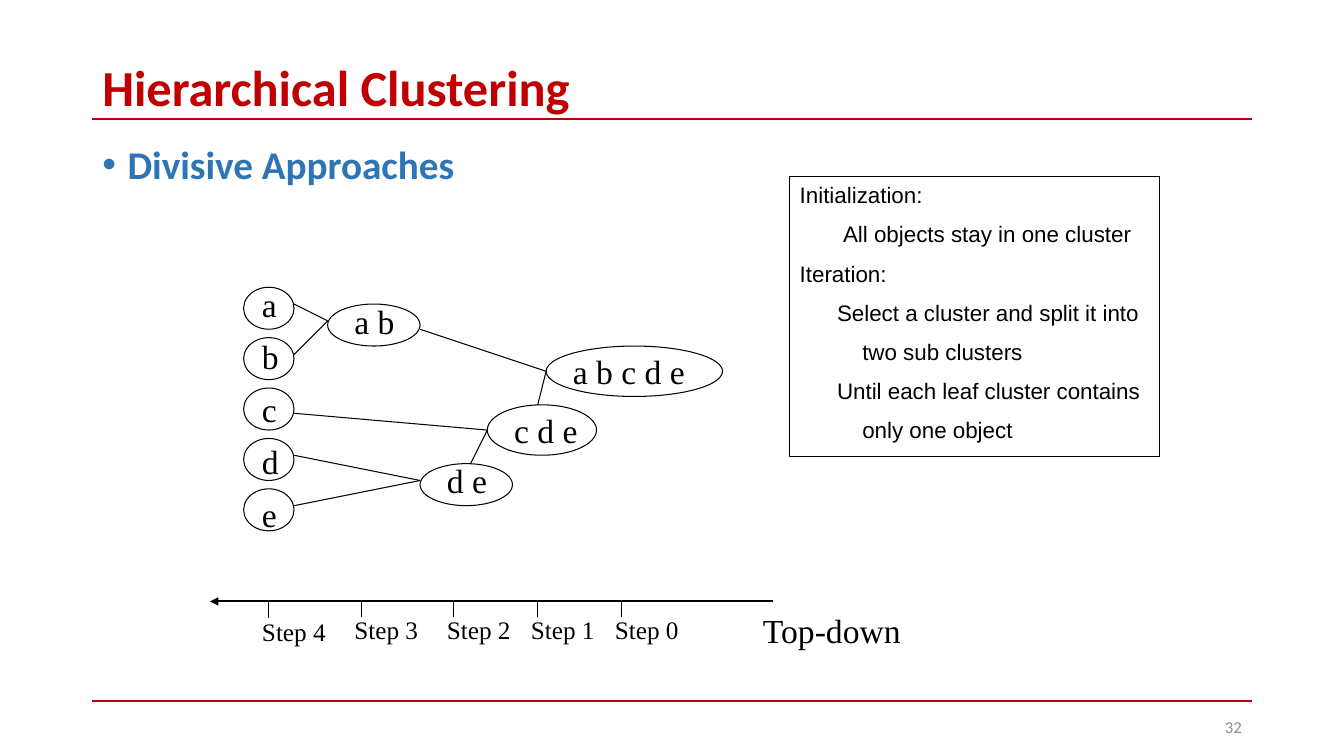
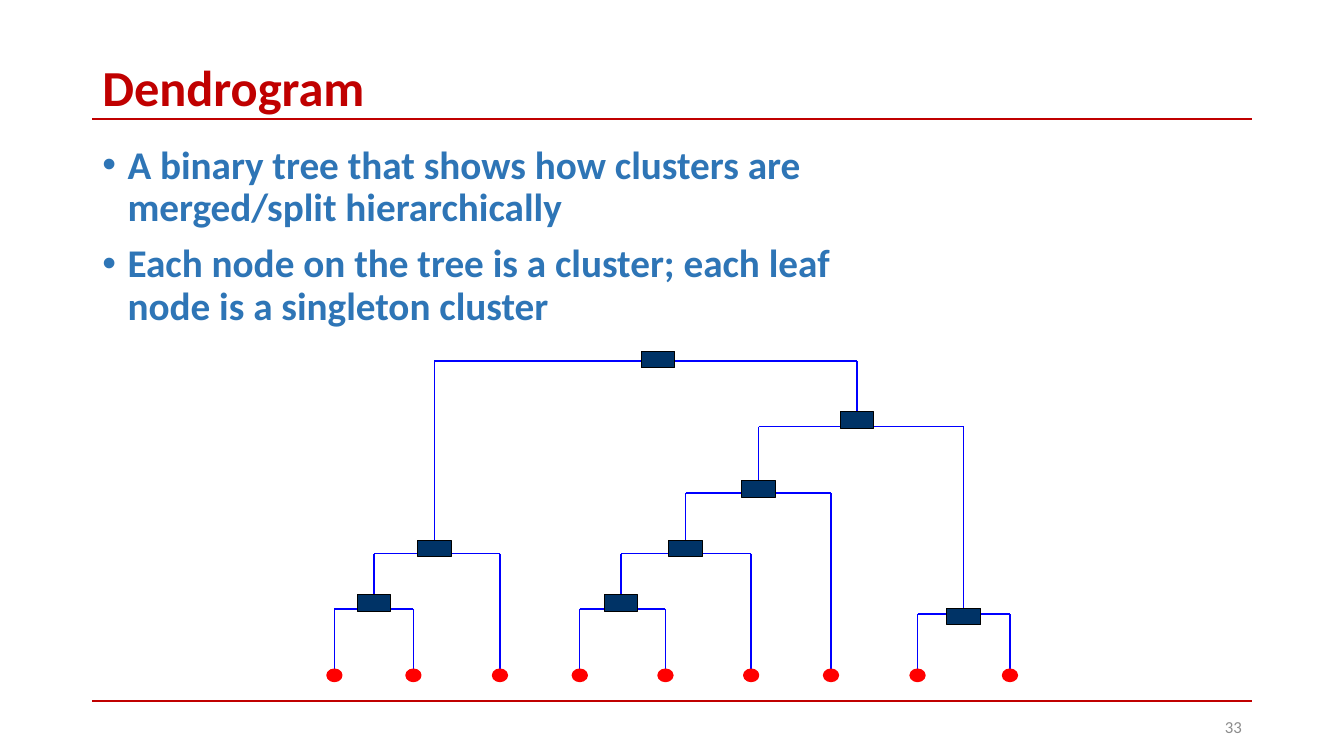
from lxml import etree
from pptx import Presentation
from pptx.dml.color import RGBColor
from pptx.enum.shapes import MSO_CONNECTOR as LINK, MSO_SHAPE as SHAPE
from pptx.enum.text import MSO_ANCHOR as ANCHOR, PP_ALIGN as ALIGN
from pptx.oxml.ns import qn
from pptx.util import Inches, Pt

RED = RGBColor(0xC0, 0x00, 0x00)
BLUE = RGBColor(0x2E, 0x75, 0xB6)
GRAY = RGBColor(0x8C, 0x8C, 0x8C)
BLACK = RGBColor(0x00, 0x00, 0x00)
BRANCH_BLUE = RGBColor(0x00, 0x00, 0xFF)
LEAF_RED = RGBColor(0xFF, 0x00, 0x00)
NODE_NAVY = RGBColor(0x00, 0x33, 0x66)
SANS, SERIF, PLAIN = "Calibri", "Times New Roman", "Arial"

# Grid of 160 columns by 90 rows
deck = Presentation()
deck.slide_width, deck.slide_height = Inches(13.33), Inches(7.5)
CELL = deck.slide_height / 90
LEFT, RIGHT = 11, 149


def write(slide, area, lines, size, font, color, bold=False, bulleted=False):
    """Text on the grid; area is column, row, columns, rows."""
    box = slide.shapes.add_textbox(*[round(n * CELL) for n in area])
    box.text_frame.word_wrap = True
    box.text_frame.text = "\n".join(lines)
    for paragraph in box.text_frame.paragraphs:
        if bulleted:
            props = paragraph._p.get_or_add_pPr()
            props.set("marL", str(Inches(0.25)))
            props.set("indent", str(-Inches(0.25)))
            etree.SubElement(props, qn("a:buFont")).set("typeface", "Arial")
            etree.SubElement(props, qn("a:buChar")).set("char", "•")
        paragraph.font.size, paragraph.font.name = Pt(size), font
        paragraph.font.bold, paragraph.font.color.rgb = bold, color
    return box


def rule(slide, x1, y1, x2, y2, color=BLACK, width=0.75):
    """Straight line between two grid points."""
    line = slide.shapes.add_connector(
        LINK.STRAIGHT, *[round(n * CELL) for n in (x1, y1, x2, y2)])
    line.line.color.rgb, line.line.width = color, Pt(width)
    etree.SubElement(line._element.spPr, qn("a:effectLst"))
    return line


# Shared frame: title, two rules, bullets and page number
pages = [
    ("Hierarchical Clustering", "32", 138, ["Divisive Approaches"]),
    ("Dendrogram", "33", 90.2, [
        "A binary tree that shows how clusters are merged/split hierarchically",
        "Each node on the tree is a cluster; each leaf node is a singleton cluster"]),
]
slides = []
for title, number, body_cols, points in pages:
    slide = deck.slides.add_slide(deck.slide_layouts[6])
    slides.append(slide)
    for row in (14.2, 83.4):
        rule(slide, LEFT, row, RIGHT, row, RED, 1.5)
    heading = write(slide, (LEFT, 7.3, 138, 7), [title], 36, SANS, RED, bold=True)
    heading.text_frame.vertical_anchor = ANCHOR.MIDDLE
    heading.text_frame.paragraphs[0].line_spacing = 0.9
    body = write(slide, (LEFT, 16.7, body_cols, 23), points, 28, SANS, BLUE,
                 bold=True, bulleted=True)
    for i, point in enumerate(body.text_frame.paragraphs):
        point.line_spacing = 0.9
        point.space_before = Pt(10 if i else 0)
    page = write(slide, (113, 84.1, 36, 4.8), [number], 12, SANS, GRAY)
    page.text_frame.vertical_anchor = ANCHOR.MIDDLE
    page.text_frame.paragraphs[0].alignment = ALIGN.RIGHT

clustering, dendrogram = slides

# Clusters: name, ellipse area, label column, row and width
clusters = [(name, (29, 34.2 + 6 * i, 6, 5), (30, 33.2 + 6.25 * i, 4.3))
            for i, name in enumerate("abcde")]
clusters += [
    ("a b", (39, 36.2, 11, 5), (41, 35.2, 7.2)),
    ("d e", (50, 55.2, 11, 5), (52, 54.2, 7.2)),
    ("c d e", (58, 48.2, 13, 6), (60, 48.2, 10)),
    ("a b c d e", (65, 41.2, 21, 6), (67, 41.2, 15.7)),
]
for name, area, label_area in clusters:
    label = write(clustering, (*label_area, 6), [name], 24, SERIF, BLACK)
    label.text_frame.word_wrap = False
    ring = clustering.shapes.add_shape(SHAPE.OVAL, *[round(n * CELL) for n in area])
    ring.shadow.inherit = False
    ring.fill.background()
    ring.line.color.rgb, ring.line.width = BLACK, Pt(0.75)

# Links between clusters: the parent's point, then its parts' points
links = [
    ((39, 38.2), [(35, 36.2), (35, 42.2)]),
    ((50, 57.2), [(35, 54.2), (35, 60.2)]),
    ((58, 51.2), [(35, 49.2), (56, 55.2)]),
    ((65, 44.2), [(50, 39.2), (64, 48.2)]),
]
for parent, parts in links:
    for part in parts:
        rule(clustering, *part, *parent)

# Step axis, running from right to left
axis = rule(clustering, 25, 71.6, 92, 71.6, width=1.5)
etree.SubElement(axis.line._get_or_add_ln(), qn("a:headEnd")).set("type", "triangle")
for i, col in enumerate((32, 43, 54, 64, 74)):
    row = 71.4 if i else 71.6
    rule(clustering, col, row, col, row + 2)
    write(clustering, (col - 2, row + 1.2, 10, 4.8), [f"Step {4 - i}"], 18, SERIF, BLACK)
direction = write(clustering, (89.5, 72, 19, 6), ["Top-down"], 24, SERIF, BLACK)
direction.text_frame.word_wrap = False
direction.text_frame.paragraphs[0].alignment = ALIGN.CENTER

# Algorithm box: indent in inches, text
steps = [
    (0, "Initialization:"),
    (0.43, "All objects stay in one cluster"),
    (0, "Iteration:"),
    (0.37, "Select a cluster and split it into"),
    (0.62, "two sub clusters"),
    (0.37, "Until each leaf cluster contains"),
    (0.62, "only one object"),
]
algorithm = write(clustering, (94, 21, 44, 33.4), [text for _, text in steps],
                  16, PLAIN, BLACK)
algorithm.line.color.rgb, algorithm.line.width = BLACK, Pt(0.75)
for i, paragraph in enumerate(algorithm.text_frame.paragraphs):
    paragraph._p.get_or_add_pPr().set("marL", str(Inches(steps[i][0])))
    paragraph.space_before = Pt(8.8 if i else 0)

# Dendrogram leaves: name to column and row
LEAF_ROW = 80.4
leaf_cols = (39.8, 49.2, 59.5, 69, 79.2, 89.4, 98.9, 109.2, 120.2)
tops = {f"leaf{i}": (col, LEAF_ROW) for i, col in enumerate(leaf_cols, 1)}

# Merges: name, left part, right part, node column, node row, bar row
merges = [
    ("pair12", "leaf1", "leaf2", 44.5, 71.8, 72.5),
    ("trio13", "pair12", "leaf3", 51.7, 65.3, 65.9),
    ("pair45", "leaf4", "leaf5", 73.9, 71.8, 72.5),
    ("trio46", "pair45", "leaf6", 81.6, 65.3, 65.9),
    ("four47", "trio46", "leaf7", 90.3, 58.2, 58.7),
    ("pair89", "leaf8", "leaf9", 114.7, 73.4, 73.1),
    ("six49", "four47", "pair89", 102, 50, 50.8),
    ("root", "trio13", "six49", 78.3, 42.8, 43),
]
for name, left, right, col, _, bar in merges:
    rule(dendrogram, tops[left][0], bar, tops[right][0], bar, BRANCH_BLUE, 1)
    for part_col, part_row in (tops[left], tops[right]):
        rule(dendrogram, part_col, bar, part_col, part_row, BRANCH_BLUE, 1)
    tops[name] = (col, bar)

# Leaf dots and node boxes, centred on their points
marks = [(SHAPE.OVAL, col, LEAF_ROW, 1.6, 1.3, LEAF_RED, LEAF_RED, 2)
         for col in leaf_cols]
marks += [(SHAPE.RECTANGLE, col, row, 4, 2, NODE_NAVY, BLACK, 0.75)
          for _, _, _, col, row, _ in merges]
for kind, col, row, cols, rows, fill, edge, width in marks:
    area = (col - cols / 2, row - rows / 2, cols, rows)
    mark = dendrogram.shapes.add_shape(kind, *[round(n * CELL) for n in area])
    mark.shadow.inherit = False
    mark.fill.solid()
    mark.fill.fore_color.rgb = fill
    mark.line.color.rgb, mark.line.width = edge, Pt(width)

deck.save("out.pptx")
